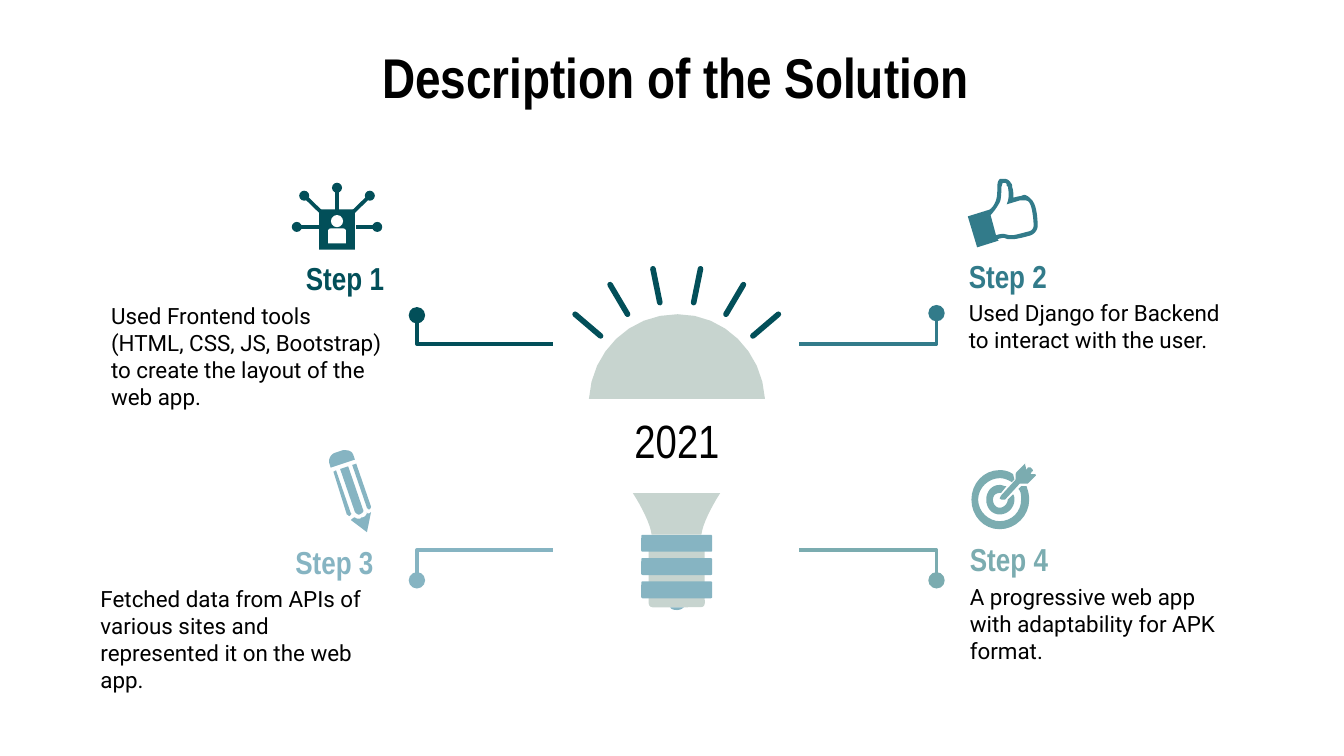
from pptx import Presentation
from pptx.dml.color import RGBColor
from pptx.enum.shapes import MSO_CONNECTOR, MSO_SHAPE
from pptx.enum.text import PP_ALIGN
from pptx.oxml.ns import qn
from pptx.util import Cm, Pt
from lxml.etree import SubElement

BLACK = RGBColor(0x00, 0x00, 0x00)
WHITE = RGBColor(0xFF, 0xFF, 0xFF)
DARK_TEAL = RGBColor(0x02, 0x4F, 0x59)
TEAL = RGBColor(0x32, 0x7B, 0x8A)
BLUE = RGBColor(0x86, 0xB4, 0xC2)
SAGE = RGBColor(0x7B, 0xAC, 0xB0)
GLASS = RGBColor(0xC7, 0xD4, 0xCF)
HEADING_FONT, BODY_FONT = "Arial Narrow", "Roboto"

# Content: heading, paragraphs, colour, text left and top, alignment,
# then the bracket: dot x, dot y, line y, line end x (all in cm)
STEPS = [
    ("Step 1", ["Used Frontend tools (HTML, CSS, JS, Bootstrap) to create the layout of the web app."],
     DARK_TEAL, 1.85, 4.65, PP_ALIGN.RIGHT, (7.88, 5.96, 6.5, 10.46)),
    ("Step 2", ["Used Django for Backend", "to interact with the user."],
     TEAL, 18.06, 4.6, PP_ALIGN.LEFT, (17.7, 5.92, 6.5, 15.11)),
    ("Step 3", ["Fetched data from APIs of various sites and represented it on the web app."],
     BLUE, 1.65, 10.01, PP_ALIGN.RIGHT, (7.88, 10.97, 10.4, 10.46)),
    ("Step 4", ["A progressive web app with adaptability for APK format."],
     SAGE, 18.08, 9.96, PP_ALIGN.LEFT, (17.7, 10.97, 10.4, 15.11)),
]

# Outlines on a fine grid: M move, L line, C cubic curve
GRID = 0.0254
THUMB = [
    "M 27 0 L 24 0 C 23 1 22 2 22 6 C 22 9 22 13 21 16 C 20 19 18 22 16 23 L 0 28 L 7 51 L 23 46 "
    "L 22 45 C 25 44 26 44 27 44 L 30 45 L 33 45 C 36 45 44 43 47 42 C 52 40 52 35 52 35 "
    "C 52 34 52 21 48 16 C 46 14 44 12 42 12 C 41 12 40 13 38 13 L 34 14 C 34 12 34 9 33 6 "
    "C 33 5 33 4 32 3 C 31 1 29 0 27 0 "
    "M 27 3 C 28 3 29 3 29 5 C 30 6 30 6 30 7 C 31 12 30 16 30 16 L 29 19 L 39 16 L 41 16 "
    "C 43 16 45 16 46 18 C 48 21 49 31 49 35 C 49 35 49 38 46 39 C 42 40 35 42 33 42 L 31 42 "
    "L 27 41 C 26 41 24 41 21 42 L 17 27 C 19 25 22 21 24 17 C 25 14 25 9 25 6 C 25 6 26 3 26 3"]
PENCIL = [
    "M 13 0 L 11 0 L 5 2 C 2 3 0 7 1 10 L 2 13 L 20 7 L 19 4 C 18 1 16 0 13 0 "
    "M 21 10 L 18 11 L 29 43 C 29 43 30 44 30 44 L 31 44 C 32 43 32 42 32 42 "
    "M 15 12 L 9 14 L 20 46 C 21 47 22 48 23 48 C 26 47 27 45 26 44 "
    "M 6 15 L 4 16 L 14 48 C 15 48 15 49 16 49 C 17 48 18 47 17 47 "
    "M 32 46 C 31 47 31 47 30 47 C 29 47 29 47 29 46 L 29 47 C 28 49 27 50 25 50 "
    "C 24 51 24 51 23 51 C 22 51 21 51 20 50 C 19 50 18 51 17 52 L 29 61"]
TARGET = [
    "M 21 5 C 9 5 0 15 0 27 C 0 39 9 49 21 49 C 33 49 43 39 43 27 C 43 23 42 20 41 17 L 37 17 "
    "L 35 19 C 37 21 37 24 37 27 C 37 36 30 43 21 43 C 13 43 5 36 5 27 C 5 18 13 11 21 11 "
    "C 24 11 27 12 30 14 L 32 12 L 31 8 C 28 6 25 5 21 5",
    "M 21 16 C 15 16 11 21 11 27 C 11 33 15 38 21 38 C 27 38 32 33 32 27 C 32 26 32 24 31 23 "
    "L 27 27 C 27 30 24 33 21 33 C 18 33 16 30 16 27 C 16 24 18 22 21 22 L 22 22 L 26 17 "
    "C 24 17 23 16 21 16",
    "M 40 0 L 34 6 C 33 7 33 8 33 8 L 33 12 L 22 24 L 21 26 C 21 26 22 27 23 27 L 25 27 "
    "L 36 15 L 40 15 C 41 15 41 15 42 15 L 48 9 C 48 9 48 8 47 8 L 44 8 L 45 6 "
    "C 46 6 46 5 45 4 L 44 3 C 44 3 43 3 42 3 L 41 5 L 40 1"]
DOME = ["M 66 0 C 30 0 2 28 0 63 L 131 63 C 129 28 101 0 66 0"]
NECK = ["M 0 0 C 7 11 13 23 14 31 L 51 31 C 52 23 58 11 65 0"]
TIP = ["M 0 0 C 0 1 2 2 5 2 C 7 2 9 1 10 0"]

BULB_X = 12.79
RAYS = [((12.34, 5.08), (12.47, 5.72)), ((11.53, 5.38), (11.86, 5.94)), ((10.87, 5.94), (11.35, 6.35))]
NETWORK_X = 6.37
# Node offset and height, then where its arm meets the body
NETWORK_ARMS = [((0, 3.55), (0, 3.96)), ((0.62, 3.7), (0.25, 4.06)), ((0.76, 4.29), (0.35, 4.29))]

deck = Presentation()
deck.slide_width, deck.slide_height = Cm(25.4), Cm(14.29)
slide = deck.slides.add_slide(deck.slide_layouts[6])
shapes = slide.shapes


def paint(shape, color):
    shape.shadow.inherit = False
    shape.fill.solid()
    shape.fill.fore_color.rgb = color
    shape.line.fill.background()
    return shape


def add_part(kind, x, y, w, h, color):
    return paint(shapes.add_shape(kind, Cm(x), Cm(y), Cm(w), Cm(h)), color)


def add_dot(x, y, size, color):
    add_part(MSO_SHAPE.OVAL, x - size / 2, y - size / 2, size, size, color)


def add_line(start, end, color, width, cap="flat"):
    line = shapes.add_connector(MSO_CONNECTOR.STRAIGHT, *(Cm(v) for v in (*start, *end)))
    line.line.color.rgb = color
    line.line.width = Pt(width)
    props = line._element.spPr
    props.find(qn("a:ln")).set("cap", cap)
    SubElement(props, qn("a:effectLst"))


def trace(outline):
    """Turn an outline into contours of points, with curves cut into short lines."""
    contours = []
    for part in outline.replace("M", "|M").replace("L", "|L").replace("C", "|C").split("|")[1:]:
        numbers = [int(n) for n in part[1:].split()]
        points = list(zip(numbers[::2], numbers[1::2]))
        if part[0] == "M":
            contours.append(points)
        elif part[0] == "L":
            contours[-1] += points
        else:
            curve = [contours[-1][-1], *points]
            for t in (i / 8 for i in range(1, 9)):
                weights = ((1 - t) ** 3, 3 * t * (1 - t) ** 2, 3 * t * t * (1 - t), t ** 3)
                contours[-1].append(tuple(sum(w * p[a] for w, p in zip(weights, curve)) for a in (0, 1)))
    return contours


def add_outlines(outlines, x, y, color):
    for outline in outlines:
        contours = [[(Cm(px * GRID), Cm(py * GRID)) for px, py in c] for c in trace(outline)]
        builder = shapes.build_freeform(*contours[0][0])
        builder.add_line_segments(contours[0][1:])
        for contour in contours[1:]:
            builder.move_to(*contour[0])
            builder.add_line_segments(contour[1:])
        paint(builder.convert_to_shape(Cm(x), Cm(y)), color)


def add_text(paragraphs, x, y, w, h, size, font, color=BLACK, align=PP_ALIGN.LEFT, bold=False):
    frame = shapes.add_textbox(Cm(x), Cm(y), Cm(w), Cm(h)).text_frame
    frame.word_wrap = True
    frame.margin_left = frame.margin_right = frame.margin_top = frame.margin_bottom = Cm(0.25)
    for i, words in enumerate(paragraphs):
        paragraph = frame.add_paragraph() if i else frame.paragraphs[0]
        paragraph.alignment = align
        run = paragraph.add_run()
        run.text = words
        run.font.size, run.font.name, run.font.bold = Pt(size), font, bold
        run.font.color.rgb = color


# Title
add_text(["Description of the Solution"], 4.72, 0.56, 16.1, 1.73, 30, HEADING_FONT,
         align=PP_ALIGN.CENTER, bold=True)

# Step icons
for (dx, y), (arm_dx, arm_y) in NETWORK_ARMS:
    for side in ((-1, 1) if dx else (1,)):
        add_line((NETWORK_X + side * dx, y), (NETWORK_X + side * arm_dx, arm_y), DARK_TEAL, 2)
        add_dot(NETWORK_X + side * dx, y, 0.19, DARK_TEAL)
add_part(MSO_SHAPE.RECTANGLE, NETWORK_X - 0.34, 3.96, 0.68, 0.76, DARK_TEAL)
add_dot(NETWORK_X, 4.18, 0.23, WHITE)
add_part(MSO_SHAPE.ROUND_2_SAME_RECTANGLE, NETWORK_X - 0.17, 4.32, 0.34, 0.28, WHITE)
add_outlines(THUMB, 18.29, 3.38, TEAL)
add_outlines(PENCIL, 6.2, 8.51, BLUE)
add_outlines(TARGET, 18.36, 8.76, SAGE)

# Light bulb
add_part(MSO_SHAPE.ROUNDED_RECTANGLE, BULB_X - 0.53, 10.13, 1.06, 1.35, GLASS).adjustments[0] = 0.07
for i in range(3):
    add_part(MSO_SHAPE.ROUNDED_RECTANGLE, BULB_X - 0.67, 10.11 + 0.44 * i, 1.34, 0.32, BLUE).adjustments[0] = 0.08
add_outlines(TIP, 12.67, 11.48, BLUE)
add_outlines(DOME, 11.13, 5.94, GLASS)
add_outlines(NECK, 11.96, 9.32, GLASS)
for ray in RAYS:
    add_line(*ray, DARK_TEAL, 3, "rnd")
    add_line(*((2 * BULB_X - x, y) for x, y in ray), DARK_TEAL, 3, "rnd")
add_text(["2021"], 11.13, 7.54, 3.33, 1.35, 25, HEADING_FONT, align=PP_ALIGN.CENTER)

# Steps with their brackets
for heading, body, color, x, y, align, (dot_x, dot_y, line_y, end_x) in STEPS:
    corner = (dot_x, line_y)
    bracket = shapes.build_freeform(Cm(dot_x), Cm(dot_y))
    bracket.add_line_segments([(Cm(dot_x), Cm(line_y)), (Cm(end_x), Cm(line_y))], close=False)
    elbow = bracket.convert_to_shape()
    elbow.shadow.inherit = False
    elbow.fill.background()
    elbow.line.color.rgb, elbow.line.width = color, Pt(2)
    add_dot(dot_x, dot_y, 0.31, color)
    add_text([heading], x, y, 5.66, 0.81, 17, HEADING_FONT, color, align, True)
    add_text(body, x, y + 0.81, 5.66, 1.93, 12, BODY_FONT)

deck.save("out.pptx")
